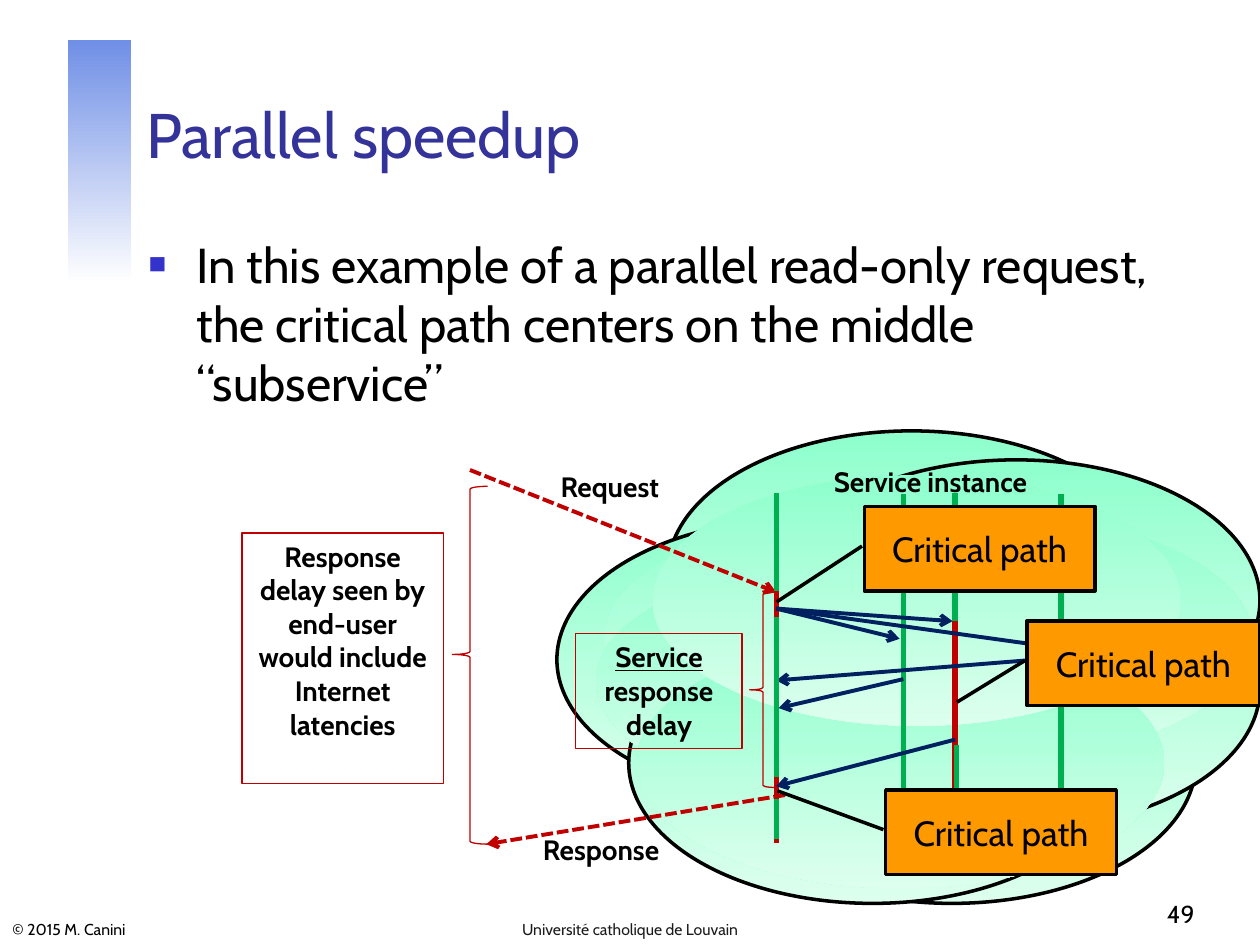
from lxml.etree import SubElement
from pptx import Presentation
from pptx.dml.color import RGBColor
from pptx.enum.dml import MSO_LINE
from pptx.enum.shapes import MSO_CONNECTOR, MSO_SHAPE
from pptx.enum.text import MSO_ANCHOR, MSO_AUTO_SIZE, PP_ALIGN
from pptx.oxml.ns import qn
from pptx.util import Inches, Pt

BLACK = RGBColor(0x00, 0x00, 0x00)
WHITE = RGBColor(0xFF, 0xFF, 0xFF)
CHARCOAL = RGBColor(0x1C, 0x1C, 0x1C)
TITLE_BLUE = RGBColor(0x33, 0x33, 0x99)
BAND_BLUE = RGBColor(0x70, 0x8F, 0xE6)
MINT = RGBColor(0x8E, 0xFF, 0xCD)
PALE_MINT = RGBColor(0xDD, 0xFF, 0xEE)
RED = RGBColor(0xC0, 0x00, 0x00)
GREEN = RGBColor(0x00, 0xB0, 0x50)
NAVY = RGBColor(0x00, 0x20, 0x60)
ORANGE = RGBColor(0xFF, 0x99, 0x00)


def write_text(shape, text, size=16, color=BLACK, bold=False, align=PP_ALIGN.CENTER,
               anchor=MSO_ANCHOR.TOP, underlined=""):
    """Write one paragraph; an underlined lead may come before the text."""
    frame = shape.text_frame
    frame.word_wrap = True
    frame.auto_size = MSO_AUTO_SIZE.NONE
    frame.vertical_anchor = anchor
    paragraph = frame.paragraphs[0]
    paragraph.alignment = align
    paragraph.space_before = Pt(0)
    for words in filter(None, (underlined, text)):
        run = paragraph.add_run()
        run.text = words
        font = run.font
        font.name = "Cabin"
        font.size = Pt(size)
        font.bold = bold
        font.color.rgb = color
        if words == underlined:
            font.underline = True


def add_line(start, end, color, width, arrow=False, dashed=False):
    line = slide.shapes.add_connector(
        MSO_CONNECTOR.STRAIGHT, *(Inches(value) for value in start + end))
    line.line.color.rgb = color
    line.line.width = Pt(width)
    if dashed:
        line.line.dash_style = MSO_LINE.SQUARE_DOT
    if arrow:
        SubElement(line.line._get_or_add_ln(), qn("a:tailEnd"), type="arrow")
    SubElement(line._element.spPr, qn("a:effectLst"))


presentation = Presentation()
presentation.slide_width = Inches(10)
presentation.slide_height = Inches(7.5)
slide = presentation.slides.add_slide(presentation.slide_layouts[1])

# Side band and cloud: outlined lobes, then plain ellipses that hide inner outlines
gradients = [(MSO_SHAPE.RECTANGLE, (0.54, 0.32, 0.5, 1.93), BAND_BLUE, WHITE, False)]
for left, top in [(5.3, 3.42), (6.13, 3.65), (5.62, 4.94),
                  (4.42, 4.12), (4.99, 4.94), (6.13, 4.35)]:
    gradients.append((MSO_SHAPE.OVAL, (left, top, 3.87, 2.23), MINT, PALE_MINT, True))
for box in [(4.8, 4, 5.14, 2.11), (4.73, 4.47, 4.06, 1.88),
            (5.05, 5.06, 4.19, 1.99), (5.18, 3.77, 4.19, 1.99)]:
    gradients.append((MSO_SHAPE.OVAL, box, MINT, PALE_MINT, False))
for kind, box, upper, lower, outlined in gradients:
    shape = slide.shapes.add_shape(kind, *(Inches(value) for value in box))
    shape.shadow.inherit = False
    shape.fill.gradient()
    shape.fill.gradient_angle = 270
    for stop, color in zip(shape.fill.gradient_stops, (upper, lower)):
        stop.color.rgb = color
    if outlined:
        shape.line.color.rgb = BLACK
        shape.line.width = Pt(2)
    else:
        shape.line.fill.background()

# Title and bullet
title = slide.shapes.title
title.left, title.top, title.width, title.height = (
    Inches(value) for value in (1.06, 0.33, 8.52, 1.08))
write_text(title, "Parallel speedup", size=36, color=TITLE_BLUE,
           align=PP_ALIGN.LEFT, anchor=MSO_ANCHOR.BOTTOM)

body = slide.placeholders[1]
body.left, body.top, body.width, body.height = (
    Inches(value) for value in (1.08, 1.81, 8.5, 4.96))
properties = body.text_frame.paragraphs[0]._p.get_or_add_pPr()
properties.set("marL", str(Inches(0.38)))
properties.set("indent", str(Inches(-0.38)))
bullet_color = SubElement(properties, qn("a:buClr"))
SubElement(bullet_color, qn("a:srgbClr"), val="3333CC")
SubElement(properties, qn("a:buSzPct"), val="60000")
SubElement(properties, qn("a:buChar"), char="■")
write_text(body, "In this example of a parallel read-only request, the critical path "
           "centers on the middle “subservice”", size=28, align=PP_ALIGN.LEFT)

# Request and response messages
add_line((3.73, 3.73), (6.16, 4.7), RED, 2.25, arrow=True, dashed=True)
add_line((6.23, 6.31), (3.86, 6.7), RED, 2.25, arrow=True, dashed=True)

# Braces that span the two delays
for box, middle in [((3.59, 3.86, 0.28, 2.84), 0.47), ((5.95, 4.7, 0.21, 1.55), 0.5)]:
    brace = slide.shapes.add_shape(MSO_SHAPE.LEFT_BRACE, *(Inches(value) for value in box))
    brace.shadow.inherit = False
    brace.fill.background()
    brace.line.color.rgb = RED
    brace.line.width = Pt(0.75)
    brace.adjustments[1] = middle

# Delay boxes
for box, lead, text in [
        ((1.92, 4.23, 1.6, 1.99), "",
         "Response delay seen by end-user would include Internet latencies"),
        ((4.57, 5.03, 1.32, 0.91), "Service ", "response delay")]:
    delay = slide.shapes.add_textbox(*(Inches(value) for value in box))
    delay.line.color.rgb = RED
    delay.line.width = Pt(0.75)
    write_text(delay, text, bold=True, underlined=lead)

# Diagram labels
for box, text in [((3.96, 3.68, 1.76, 0.37), "Request"),
                  ((3.83, 6.56, 1.88, 0.37), "Response"),
                  ((6.1, 3.64, 2.57, 0.37), "Service instance")]:
    label = slide.shapes.add_textbox(*(Inches(value) for value in box))
    write_text(label, text, bold=True)

# Footer
for box, text, size, color, align in [
        ((0, 7.22, 3.02, 0.28), "© 2015 M. Canini", 9, BLACK, PP_ALIGN.LEFT),
        ((3.42, 7.22, 3.16, 0.28), "Université catholique de Louvain", 9, CHARCOAL,
         PP_ALIGN.CENTER),
        ((7.5, 6.92, 2.08, 0.5), "49", 14, BLACK, PP_ALIGN.RIGHT)]:
    footer = slide.shapes.add_textbox(*(Inches(value) for value in box))
    write_text(footer, text, size=size, color=color, align=align, anchor=MSO_ANCHOR.BOTTOM)

# Timelines: red ones are the critical path, shown where green does not cover them
for x, color in [(6.16, RED), (7.17, GREEN), (7.58, RED), (8.42, GREEN)]:
    add_line((x, 3.92), (x, 6.69), color, 3)

# Calls to the subservices and their replies
for start, end in [((6.16, 4.83), (7.14, 5.07)), ((6.16, 4.83), (7.56, 4.93)),
                   ((6.16, 4.83), (8.39, 5.14)), ((8.42, 5.22), (6.16, 5.4)),
                   ((7.17, 5.39), (6.18, 5.62)), ((7.58, 5.87), (6.16, 6.24))]:
    add_line(start, end, NAVY, 2.25, arrow=True)

# Stretches off the critical path
for x, top, bottom in [(6.16, 3.91, 4.69), (6.16, 4.9, 6.17), (6.16, 6.34, 6.66),
                       (7.58, 3.91, 4.93), (7.59, 5.91, 6.69)]:
    add_line((x, top), (x, bottom), GREEN, 3)

# Callouts: the last two numbers place the leader's tip
for left, top, width, tip_y, tip_x in [(6.86, 4.02, 1.83, 1.13, -0.38),
                                       (8.15, 4.93, 1.85, 0.96, -0.3),
                                       (7.03, 6.27, 1.83, 0.01, -0.47)]:
    callout = slide.shapes.add_shape(MSO_SHAPE.LINE_CALLOUT_1, Inches(left), Inches(top),
                                     Inches(width), Inches(0.67))
    callout.shadow.inherit = False
    callout.fill.solid()
    callout.fill.fore_color.rgb = ORANGE
    callout.line.color.rgb = BLACK
    callout.line.width = Pt(2)
    for index, value in enumerate((0.47, -0.01, tip_y, tip_x)):
        callout.adjustments[index] = value
    write_text(callout, "Critical path", size=20, anchor=MSO_ANCHOR.MIDDLE)

presentation.save("out.pptx")
